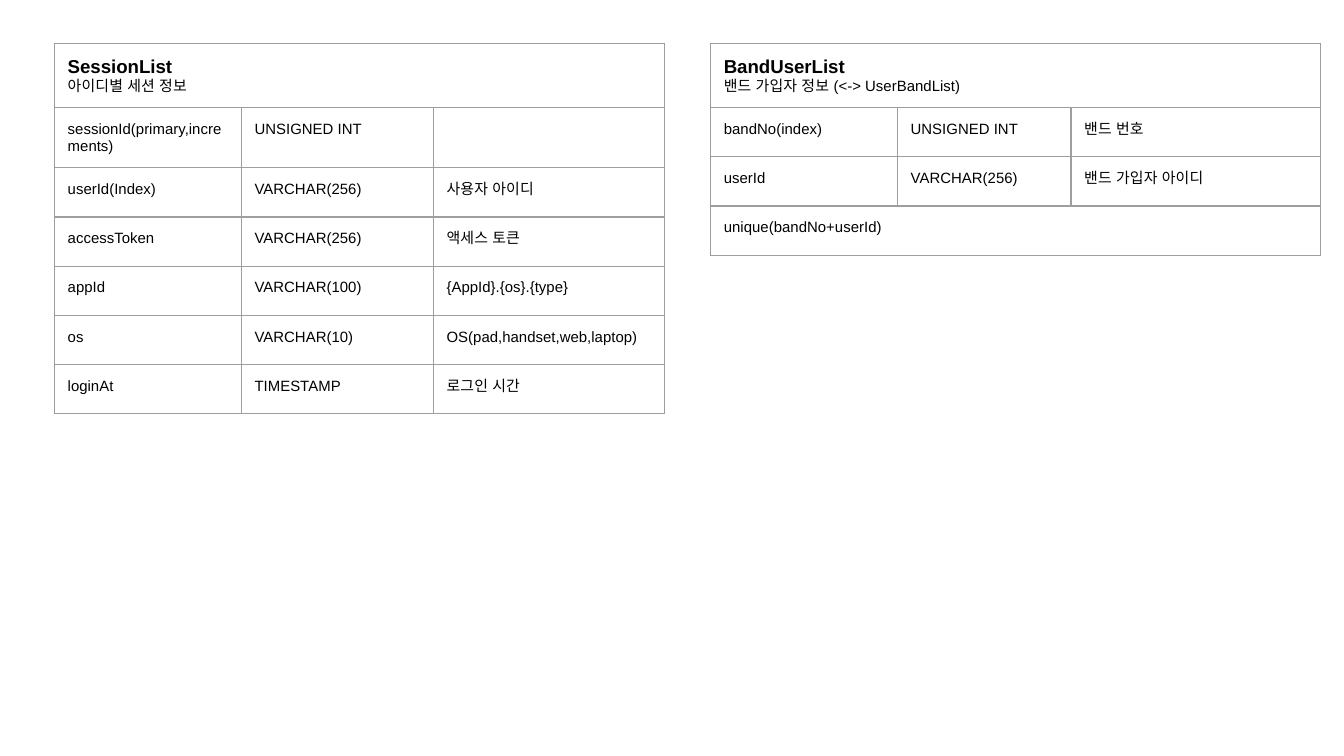
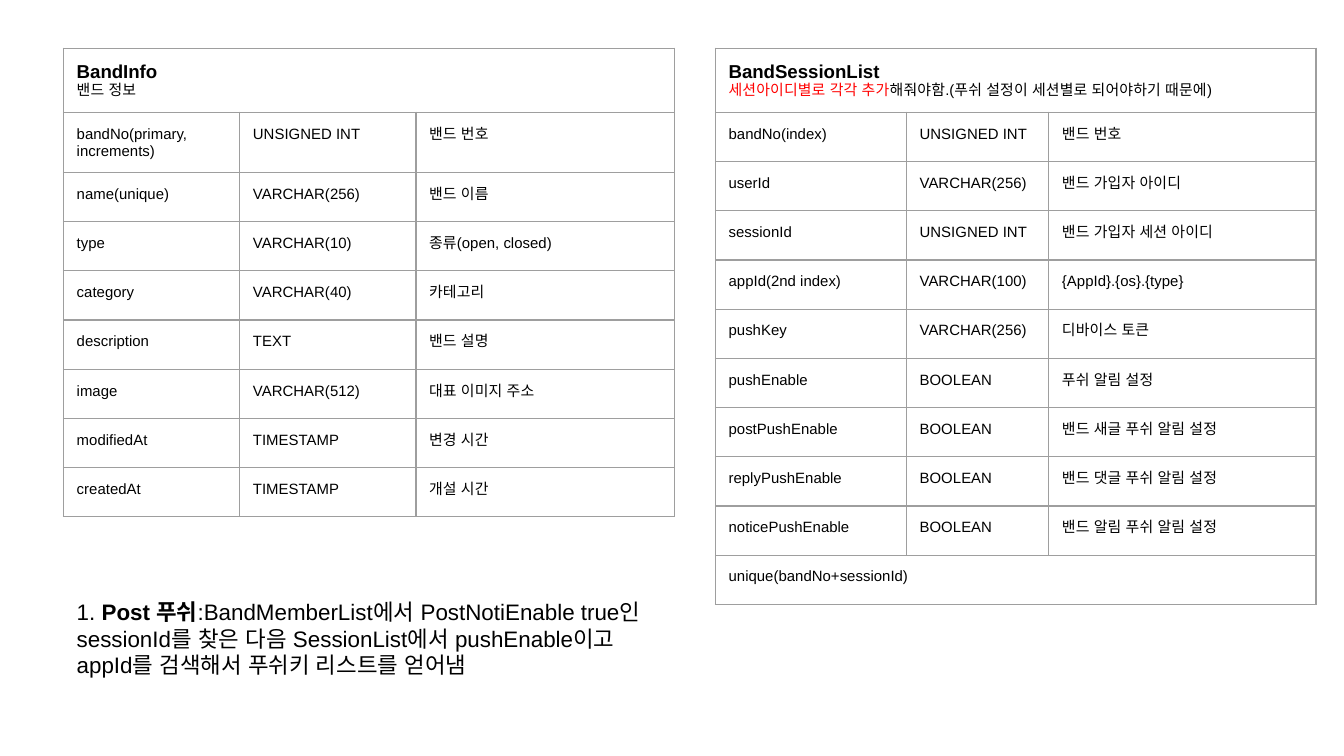
"""Build two slides of database table definitions."""
import dataclasses

import lxml.etree
import pptx
import pptx.dml.color
import pptx.enum.lang
import pptx.enum.text
import pptx.oxml.ns
import pptx.util

Cm = pptx.util.Cm
Pt = pptx.util.Pt
qn = pptx.oxml.ns.qn


@dataclasses.dataclass(frozen=True)
class Theme:
    font: str = "Arial"
    text: str = "000000"
    accent: str = "FF0000"
    border: str = "9E9E9E"
    border_width: float = 0.75
    title_size: int = 10
    body_size: int = 8
    note_size: int = 12
    inset: float = 0.25
    row_height: float = 0.93


class Deck:
    def __init__(self, theme):
        self.theme = theme
        self.presentation = pptx.Presentation()
        self.presentation.slide_width = Cm(25.4)
        self.presentation.slide_height = Cm(14.29)
        self.slide = None

    def add_slide(self):
        self.slide = self.presentation.slides.add_slide(self.presentation.slide_layouts[6])

    def add_run(self, paragraph, text, size, bold=False, color=None):
        run = paragraph.add_run()
        run.text = text
        formats = {
            "name": self.theme.font,
            "size": Pt(size),
            "bold": bold,
            "language_id": pptx.enum.lang.MSO_LANGUAGE_ID.KOREAN,
        }
        for name, value in formats.items():
            setattr(run.font, name, value)
        run.font.color.rgb = pptx.dml.color.RGBColor.from_string(color or self.theme.text)
        properties = run._r.get_or_add_rPr()
        for script in ("a:ea", "a:cs"):
            lxml.etree.SubElement(properties, qn(script), typeface=self.theme.font)

    def set_margins(self, holder):
        for side in ("left", "top", "right", "bottom"):
            setattr(holder, f"margin_{side}", Cm(self.theme.inset))

    def style_cell(self, cell):
        self.set_margins(cell)
        properties = cell._tc.get_or_add_tcPr()
        for side in "LRTB":
            line = lxml.etree.SubElement(
                properties, qn(f"a:ln{side}"), w=str(Pt(self.theme.border_width)))
            fill = lxml.etree.SubElement(line, qn("a:solidFill"))
            lxml.etree.SubElement(fill, qn("a:srgbClr"), val=self.theme.border)
        cell.fill.background()

    def fill_cell(self, cell, text):
        paragraph = cell.text_frame.paragraphs[0]
        if text:
            self.add_run(paragraph, text, self.theme.body_size)
        else:
            lxml.etree.SubElement(
                paragraph._p, qn("a:endParaRPr"), sz=str(self.theme.body_size * 100))

    def add_definition(self, left, top, widths, title, subtitle, fields, constraint=None):
        row_count = 1 + len(fields) + bool(constraint)
        frame = self.slide.shapes.add_table(
            row_count, len(widths), Cm(left), Cm(top), Cm(sum(widths)),
            Cm(row_count * self.theme.row_height))
        table = frame.table
        table.first_row = table.horz_banding = False
        for column, width in zip(table.columns, widths):
            column.width = Cm(width)
        for row in table.rows:
            row.height = Cm(self.theme.row_height)
        for cell in table.iter_cells():
            self.style_cell(cell)
        header = table.cell(0, 0)
        header.merge(table.cell(0, len(widths) - 1))
        self.add_run(header.text_frame.paragraphs[0], title, self.theme.title_size, True)
        paragraph = header.text_frame.add_paragraph()
        for text, color in subtitle:
            self.add_run(paragraph, text, self.theme.body_size, color=color)
        for row_index, field in enumerate(fields, 1):
            for column_index, text in enumerate(field):
                self.fill_cell(table.cell(row_index, column_index), text)
        if constraint:
            footer = table.cell(row_count - 1, 0)
            footer.merge(table.cell(row_count - 1, len(widths) - 1))
            self.fill_cell(footer, constraint)

    def add_note(self, left, top, width, height, runs):
        shape = self.slide.shapes.add_textbox(Cm(left), Cm(top), Cm(width), Cm(height))
        frame = shape.text_frame
        frame.word_wrap = True
        frame.vertical_anchor = pptx.enum.text.MSO_ANCHOR.TOP
        self.set_margins(frame)
        for text, bold in runs:
            self.add_run(frame.paragraphs[0], text, self.theme.note_size, bold)


theme = Theme()
deck = Deck(theme)

deck.add_slide()
deck.add_definition(
    1.03, 0.82, (3.53, 3.63, 4.37), "SessionList", [("아이디별 세션 정보", None)],
    [
        ("sessionId(primary,increments)", "UNSIGNED INT", ""),
        ("userId(Index)", "VARCHAR(256)", "사용자 아이디"),
        ("accessToken", "VARCHAR(256)", "액세스 토큰"),
        ("appId", "VARCHAR(100)", "{AppId}.{os}.{type}"),
        ("os", "VARCHAR(10)", "OS(pad,handset,web,laptop)"),
        ("loginAt", "TIMESTAMP", "로그인 시간"),
    ])
deck.add_definition(
    13.43, 0.82, (3.53, 3.28, 4.72), "BandUserList",
    [("밴드 가입자 정보 (<-> UserBandList)", None)],
    [
        ("bandNo(index)", "UNSIGNED INT", "밴드 번호"),
        ("userId", "VARCHAR(256)", "밴드 가입자 아이디"),
    ],
    "unique(bandNo+userId)")

deck.add_slide()
deck.add_definition(
    1.2, 0.91, (3.33, 3.33, 4.88), "BandInfo", [("밴드 정보", None)],
    [
        ("bandNo(primary, increments)", "UNSIGNED INT", "밴드 번호"),
        ("name(unique)", "VARCHAR(256)", "밴드 이름"),
        ("type", "VARCHAR(10)", "종류(open, closed)"),
        ("category", "VARCHAR(40)", "카테고리"),
        ("description", "TEXT", "밴드 설명"),
        ("image", "VARCHAR(512)", "대표 이미지 주소"),
        ("modifiedAt", "TIMESTAMP", "변경 시간"),
        ("createdAt", "TIMESTAMP", "개설 시간"),
    ])
deck.add_definition(
    13.52, 0.91, (3.61, 2.69, 5.05), "BandSessionList",
    [
        ("세션아이디별로 각각 추가", theme.accent),
        ("해줘야함.(푸쉬 설정이 세션별로 되어야하기 때문에)", None),
    ],
    [
        ("bandNo(index)", "UNSIGNED INT", "밴드 번호"),
        ("userId", "VARCHAR(256)", "밴드 가입자 아이디"),
        ("sessionId", "UNSIGNED INT", "밴드 가입자 세션 아이디"),
        ("appId(2nd index)", "VARCHAR(100)", "{AppId}.{os}.{type}"),
        ("pushKey", "VARCHAR(256)", "디바이스 토큰"),
        ("pushEnable", "BOOLEAN", "푸쉬 알림 설정"),
        ("postPushEnable", "BOOLEAN", "밴드 새글 푸쉬 알림 설정"),
        ("replyPushEnable", "BOOLEAN", "밴드 댓글 푸쉬 알림 설정"),
        ("noticePushEnable", "BOOLEAN", "밴드 알림 푸쉬 알림 설정"),
    ],
    "unique(bandNo+sessionId)")
deck.add_note(
    1.2, 11.05, 11.55, 2.8,
    [
        ("1. ", False),
        ("Post 푸쉬", True),
        (":BandMemberList에서 PostNotiEnable true인 sessionId를 찾은 다음 "
         "SessionList에서 pushEnable이고 appId를 검색해서 푸쉬키 리스트를 얻어냄", False),
    ])

deck.presentation.save("out.pptx")
